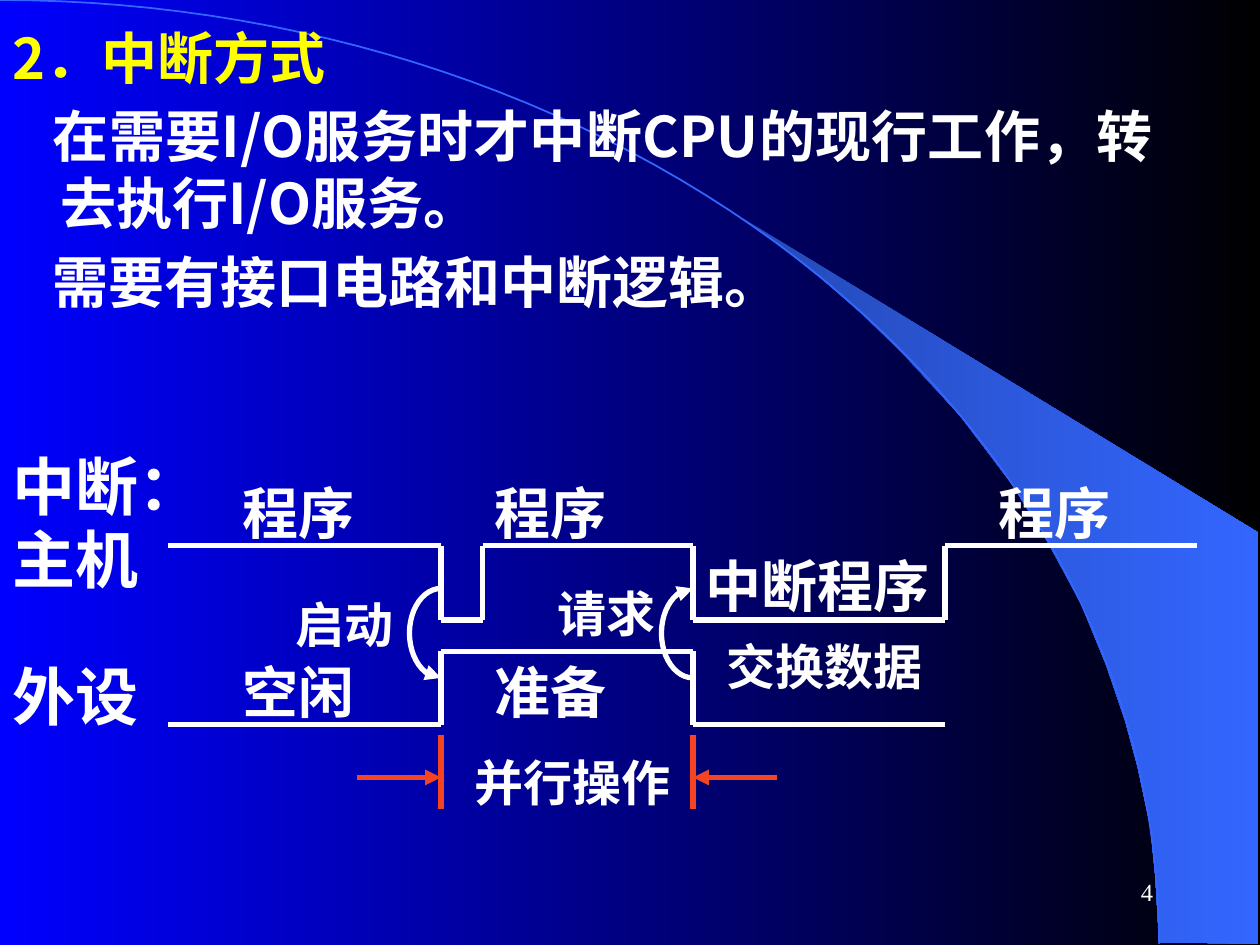
"""Build the slide on interrupt-driven I/O with its timing diagram."""
import math

import lxml.etree
import pptx
import pptx.dml.color
import pptx.enum.shapes
import pptx.enum.text
import pptx.oxml.ns
import pptx.util

Inches = pptx.util.Inches
Pt = pptx.util.Pt
ALIGN = pptx.enum.text.PP_ALIGN
ANCHOR = pptx.enum.text.MSO_ANCHOR
SHAPE = pptx.enum.shapes.MSO_SHAPE
LINE = pptx.enum.shapes.MSO_CONNECTOR.STRAIGHT
SANS, SERIF = "Noto Sans CJK SC", "Times New Roman"
HEX = {"white": "FFFFFF", "yellow": "FFFF00", "red": "F54421", "blue": "0000FF",
       "black": "000000", "sky": "3366FF", "deep": "2449B6"}
RGB = {name: pptx.dml.color.RGBColor.from_string(code) for name, code in HEX.items()}
qn = pptx.oxml.ns.qn

deck = pptx.Presentation()
deck.slide_width, deck.slide_height = Inches(10), Inches(7.5)
slide = deck.slides.add_slide(deck.slide_layouts[6])
shapes = slide.shapes


def write(text, box, size=32, font=SERIF, bold=True, align=ALIGN.LEFT,
          anchor=ANCHOR.TOP, colors=("white",), indents=((0, 0),)):
    """Add a text box with one paragraph for each line of text."""
    frame = shapes.add_textbox(*map(Inches, box)).text_frame
    frame.word_wrap = True
    frame.vertical_anchor = anchor
    frame.text = text
    for order, para in enumerate(frame.paragraphs):
        para.alignment = align
        para.line_spacing = Pt(size * 1.2)
        para.space_before = Pt(size * 0.2 if order else 0)
        left, first = indents[order]
        props = para._p.get_or_add_pPr()
        props.set("marL", str(Inches(left)))
        props.set("indent", str(Inches(first)))
        run = para.runs[0]
        run.font.size, run.font.bold, run.font.name = Pt(size), bold, font
        run.font.color.rgb = RGB[colors[order]]
        east = lxml.etree.SubElement(run._r.get_or_add_rPr(), qn("a:ea"))
        east.set("typeface", SANS)


def stroke(item, color, width=3, end=None):
    """Style a line, with an arrowhead at headEnd or tailEnd if named."""
    item.line.color.rgb = RGB[color]
    item.line.width = Pt(width)
    if end:
        lxml.etree.SubElement(item.line._get_or_add_ln(), qn("a:" + end)).set("type", "triangle")
    if item._element.spPr.find(qn("a:effectLst")) is None:
        lxml.etree.SubElement(item._element.spPr, qn("a:effectLst"))


beam = [(9.2, 7.48), (9.99, 7.49), (9.99, 4.23), (5.89, 1.73), (6.24, 1.99),
        (6.53, 2.22), (6.85, 2.5), (7.16, 2.8), (7.62, 3.3), (8.03, 3.84),
        (8.32, 4.31), (8.58, 4.79), (8.78, 5.28), (8.93, 5.72), (9.03, 6.09),
        (9.13, 6.56), (9.17, 6.96)]
turns = [math.pi / 2 * step / 60 for step in range(61)]
curve = [(9.2 * math.sin(turn), 7.49 - 7.49 * math.cos(turn)) for turn in turns]
forms = []
for points, close in ((beam, True), (curve, False)):
    spots = [(Inches(x), Inches(y)) for x, y in points]
    pen = shapes.build_freeform(*spots[0], scale=1.0)
    pen.add_line_segments(spots[1:], close=close)
    forms.append(pen.convert_to_shape())
light, rim = forms
light.shadow.inherit = False
light.line.fill.background()
rim.fill.background()
stroke(rim, "sky", 1)

for fill, colors in ((slide.background.fill, ("blue", "black")), (light.fill, ("deep", "sky"))):
    fill.gradient()
    fill.gradient_angle = 0
    for stop, place, color in zip(fill.gradient_stops, (0, 1), colors):
        stop.position = place
        stop.color.rgb = RGB[color]

write("4", (7.17, 6.83, 2.08, 0.5), size=14, bold=False, align=ALIGN.RIGHT, anchor=ANCHOR.MIDDLE)
write("2．中断方式\n在需要I/O服务时才中断CPU的现行工作，转去执行I/O服务。\n需要有接口电路和中断逻辑。",
      (0, 0, 9.25, 2.68), font=SANS, align=ALIGN.JUSTIFY, anchor=ANCHOR.MIDDLE,
      colors=("yellow", "white", "white"),
      indents=((0.38, -0.38), (0.38, -0.06), (0.38, -0.06)))

for text, top, width in (("中断：", 3.5, 2.58), ("主机", 4.08, 1.5), ("外设", 5.17, 1.5)):
    write(text, (0, top, width, 0.7), size=36, font=SANS)
for text, left, top, width in (
        ("程序", 1.83, 3.75, 1.25), ("程序", 3.83, 3.75, 1.83), ("程序", 7.83, 3.75, 1.83),
        ("空闲", 1.83, 5.17, 1.25), ("准备", 3.83, 5.17, 1.25), ("中断程序", 5.5, 4.33, 2.25)):
    write(text, (left, top, width, 0.63))
for text, left, top, width in (
        ("启动", 2.25, 4.67, 1.08), ("请求", 4.33, 4.58, 1.08),
        ("交换数据", 5.67, 5, 2), ("并行操作", 3.67, 5.92, 2.25)):
    write(text, (left, top, width, 0.57), size=28)

host = [(1.33, 4.33), (3.5, 4.33), (3.5, 4.92), (3.83, 4.92), (3.83, 4.33),
        (5.5, 4.33), (5.5, 4.92), (7.5, 4.92), (7.5, 4.33), (9.5, 4.33)]
device = [(1.33, 5.75), (3.5, 5.75), (3.5, 5.17), (5.5, 5.17), (5.5, 5.75), (7.5, 5.75)]
routes = [(host, "white", None), (device, "white", None)]
for edge, tail in ((3.5, 2.83), (5.5, 6.17)):
    routes.append(([(edge, 5.83), (edge, 6.42)], "red", None))
    routes.append(([(tail, 6.17), (edge, 6.17)], "red", "tailEnd"))
for points, color, end in routes:
    for start, stop in zip(points, points[1:]):
        link = shapes.add_connector(LINE, *map(Inches, start + stop))
        stroke(link, color, end=end)

for mid, end in ((3.5, "headEnd"), (5.5, "tailEnd")):
    arc = shapes.add_shape(SHAPE.ARC, *map(Inches, (mid - 0.25, 4.67, 0.5, 0.71)))
    arc.adjustments[0], arc.adjustments[1] = 54, 162
    arc.fill.background()
    stroke(arc, "white", end=end)

deck.save("out.pptx")
